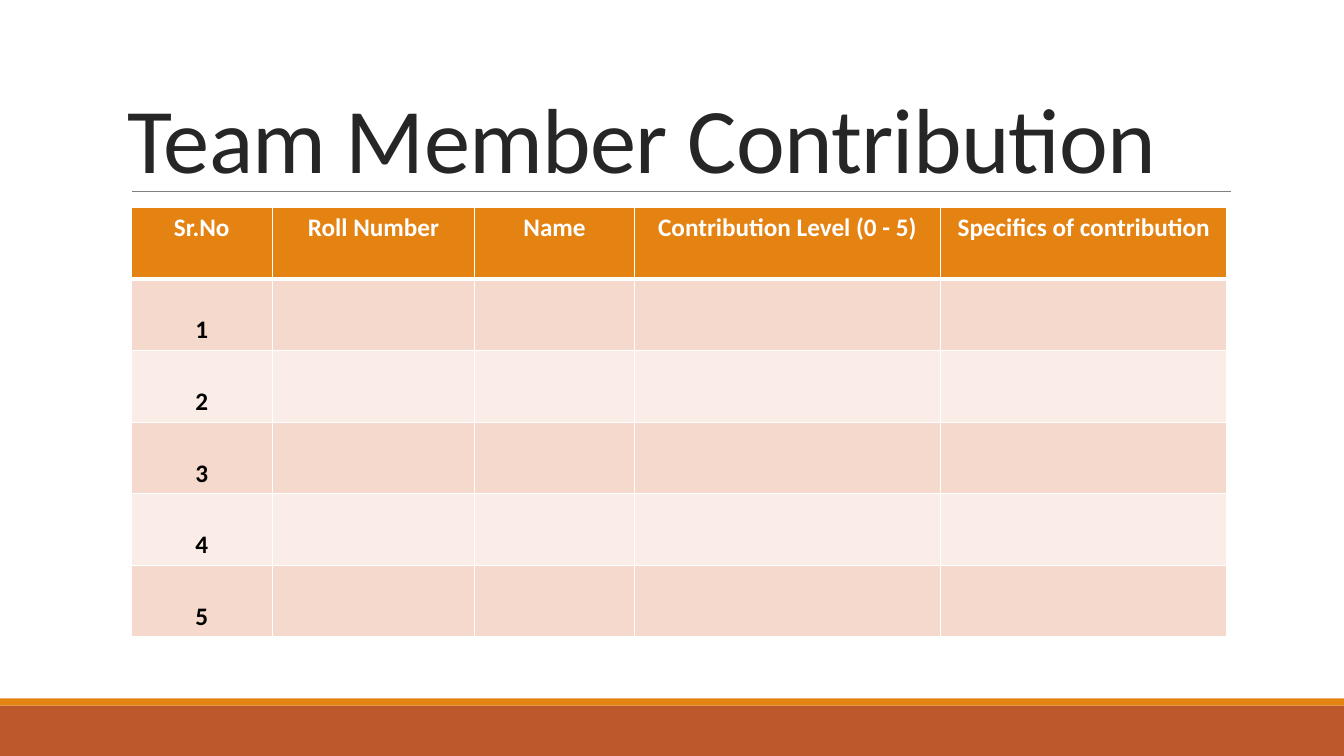
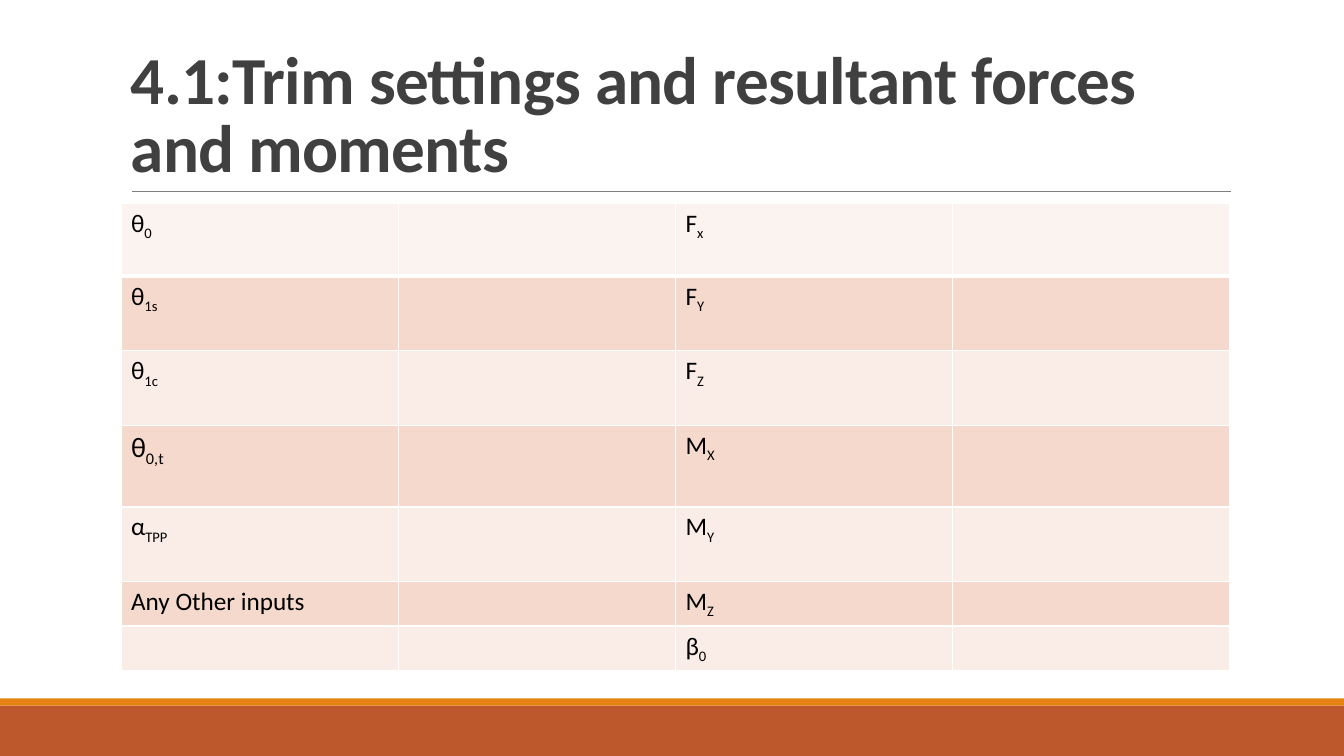
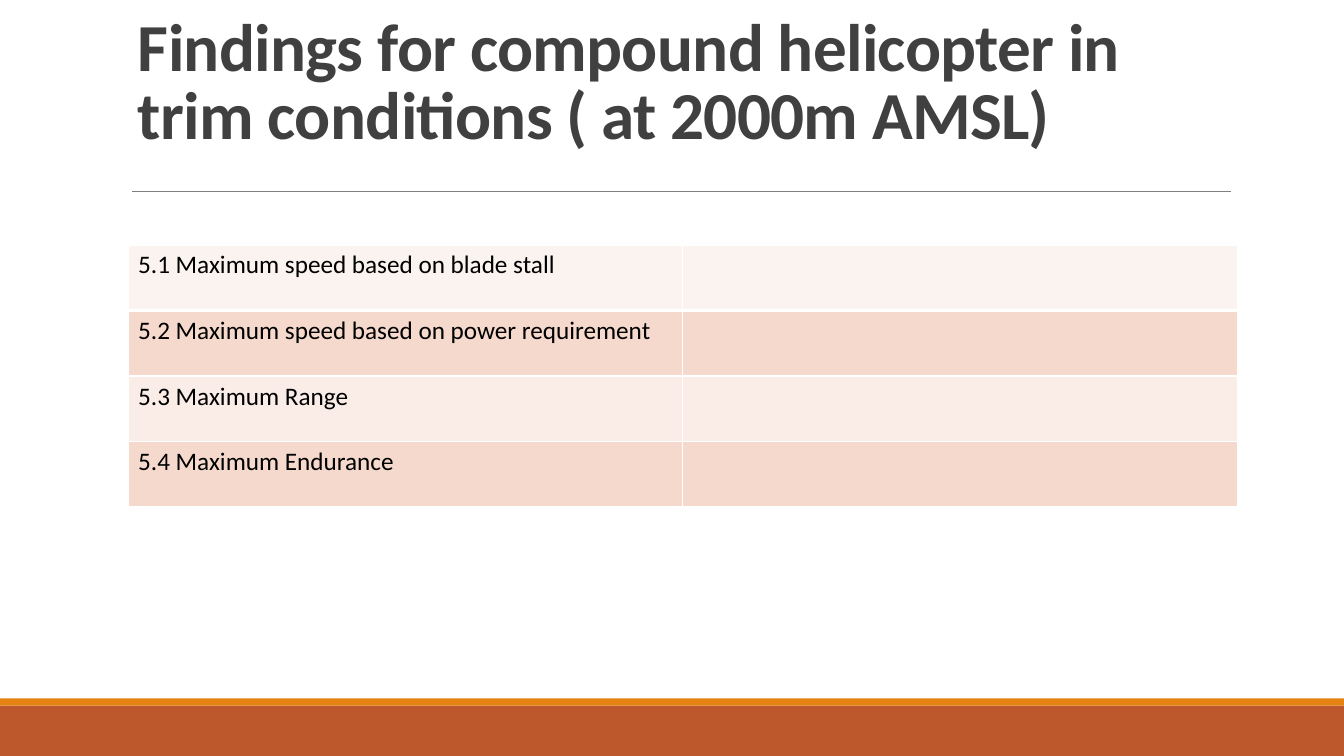
from lxml import etree
from pptx import Presentation
from pptx.dml.color import RGBColor
from pptx.enum.shapes import MSO_CONNECTOR, MSO_SHAPE
from pptx.enum.text import MSO_ANCHOR, PP_ALIGN
from pptx.oxml.ns import qn
from pptx.util import Inches, Pt

FONT = "Calibri"
COLORS = {
    "rust": "BD582C", "orange": "E48312", "rule": "808080",
    "dark": "262626", "title": "404040", "black": "000000", "white": "FFFFFF",
    "pale": "FBF3EF", "band": "F5D9CC", "light": "FAEDE7",
}

# An underscore starts a subscript.
TEAM_ROWS = [
    ["Sr.No", "Roll Number", "Name", "Contribution Level (0 - 5)",
     "Specifics of contribution"],
    *[[str(number), "", "", "", ""] for number in range(1, 6)],
]
TRIM_ROWS = [
    ["θ_0", "", "F_x", ""],
    ["θ_1s", "", "F_Y", ""],
    ["θ_1c", "", "F_Z", ""],
    ["θ_0,t", "", "M_X", ""],
    ["α_TPP", "", "M_Y", ""],
    ["Any Other inputs", "", "M_Z", ""],
    ["", "", "β_0", ""],
]
FINDING_ROWS = [
    ["5.1 Maximum speed based on blade stall", ""],
    ["5.2 Maximum speed based on power requirement", ""],
    ["5.3 Maximum Range", ""],
    ["5.4 Maximum Endurance", ""],
]
LARGER_SYMBOLS = {"θ_0,t": 20}

PLAIN_TITLE = {"size": 48, "bold": True, "color": "title"}
PLAIN_TABLE = {"first_fill": "pale", "first_color": "black"}
SLIDES = [
    {
        "title": "Team Member Contribution",
        "title_box": (1.17, 0.71, 11, 1.25),
        "title_style": {"size": 66, "bold": False, "color": "dark"},
        "rows": TEAM_ROWS,
        "table_at": (1.3, 2.06),
        "widths": [1.4, 2.01, 1.58, 3.04, 2.84],
        "heights": [0.71] * 6,
        "table_style": {"first_fill": "orange", "first_color": "white",
                        "bold": True, "align": PP_ALIGN.CENTER,
                        "body_spacing": 2.0},
    },
    {
        "title": "4.1:Trim settings and resultant forces and moments",
        "title_box": (1.2, 0.31, 11, 1.59),
        "title_style": PLAIN_TITLE,
        "rows": TRIM_ROWS,
        "table_at": (1.2, 2.02),
        "widths": [2.75] * 4,
        "heights": [0.72, 0.74, 0.74, 0.81, 0.74, 0.44, 0.44],
        "table_style": PLAIN_TABLE,
    },
    {
        "title": "Findings for compound helicopter in trim conditions ( at 2000m AMSL)",
        "title_box": (1.27, 0.39, 11, 1.18),
        "title_style": PLAIN_TITLE,
        "rows": FINDING_ROWS,
        "table_at": (1.27, 2.43),
        "widths": [5.5] * 2,
        "heights": [0.65] * 4,
        "table_style": PLAIN_TABLE,
    },
]


def rgb(name):
    return RGBColor.from_string(COLORS[name])


def style_run(run, size, color, bold):
    run.font.name = FONT
    run.font.size = Pt(size)
    run.font.bold = bold
    run.font.color.rgb = rgb(color)


def add_frame(slide):
    """Draw the two bottom bands and the rule under the title."""
    for color, top, height in [("rust", 7, 0.5), ("orange", 6.93, 0.07)]:
        band = slide.shapes.add_shape(MSO_SHAPE.RECTANGLE, 0, Inches(top),
                                      Inches(13.33), Inches(height))
        band.shadow.inherit = False
        band.fill.solid()
        band.fill.fore_color.rgb = rgb(color)
        band.line.fill.background()
    rule = slide.shapes.add_connector(MSO_CONNECTOR.STRAIGHT, Inches(1.31), Inches(1.9),
                                      Inches(12.21), Inches(1.9))
    rule.line.color.rgb = rgb("rule")
    rule.line.width = Pt(0.5)
    etree.SubElement(rule._element.spPr, qn("a:effectLst"))


def add_title(slide, text, box, style):
    frame = slide.shapes.add_textbox(*map(Inches, box)).text_frame
    frame.word_wrap = True
    frame.vertical_anchor = MSO_ANCHOR.BOTTOM
    frame.text = text
    paragraph = frame.paragraphs[0]
    paragraph.line_spacing = 0.85
    run = paragraph.runs[0]
    style_run(run, **style)
    run.font._element.set("spc", "-50")


def set_borders(cell, top, bottom):
    """Give the cell white edges; must run before the cell gets its fill."""
    properties = cell._tc.get_or_add_tcPr()
    for side, width in [("L", 1), ("R", 1), ("T", top), ("B", bottom)]:
        edge = etree.SubElement(properties, qn(f"a:ln{side}"), w=str(Pt(width)))
        fill = etree.SubElement(edge, qn("a:solidFill"))
        etree.SubElement(fill, qn("a:srgbClr"), val=COLORS["white"])


def write_cell(cell, text, color, bold, align, spacing):
    paragraph = cell.text_frame.paragraphs[0]
    paragraph.alignment = align
    paragraph.line_spacing = spacing
    base, _, subscript = text.partition("_")
    for part in filter(None, (base, subscript)):
        run = paragraph.add_run()
        run.text = part
        style_run(run, LARGER_SYMBOLS.get(text, 18), color, bold)
    if subscript:
        run.font._element.set("baseline", "-25000")


def add_grid(slide, rows, at, widths, heights, first_fill, first_color,
             bold=False, align=PP_ALIGN.LEFT, body_spacing=None):
    size = (sum(widths), sum(heights))
    table = slide.shapes.add_table(len(rows), len(widths),
                                   *map(Inches, at + size)).table
    for column, width in zip(table.columns, widths):
        column.width = Inches(width)
    for r, (row, height) in enumerate(zip(rows, heights)):
        table.rows[r].height = Inches(height)
        first = r == 0
        fill = first_fill if first else ("light", "band")[r % 2]
        for c, text in enumerate(row):
            cell = table.cell(r, c)
            set_borders(cell, top=3 if r == 1 else 1, bottom=3 if first else 1)
            cell.fill.solid()
            cell.fill.fore_color.rgb = rgb(fill)
            if text:
                write_cell(cell, text, first_color if first else "black", bold,
                           align, None if first else body_spacing)


def main():
    deck = Presentation()
    deck.slide_width, deck.slide_height = Inches(13.33), Inches(7.5)
    for content in SLIDES:
        slide = deck.slides.add_slide(deck.slide_layouts[6])
        add_frame(slide)
        add_title(slide, content["title"], content["title_box"], content["title_style"])
        add_grid(slide, content["rows"], content["table_at"], content["widths"],
                 content["heights"], **content["table_style"])
    deck.save("out.pptx")


if __name__ == "__main__":
    main()
